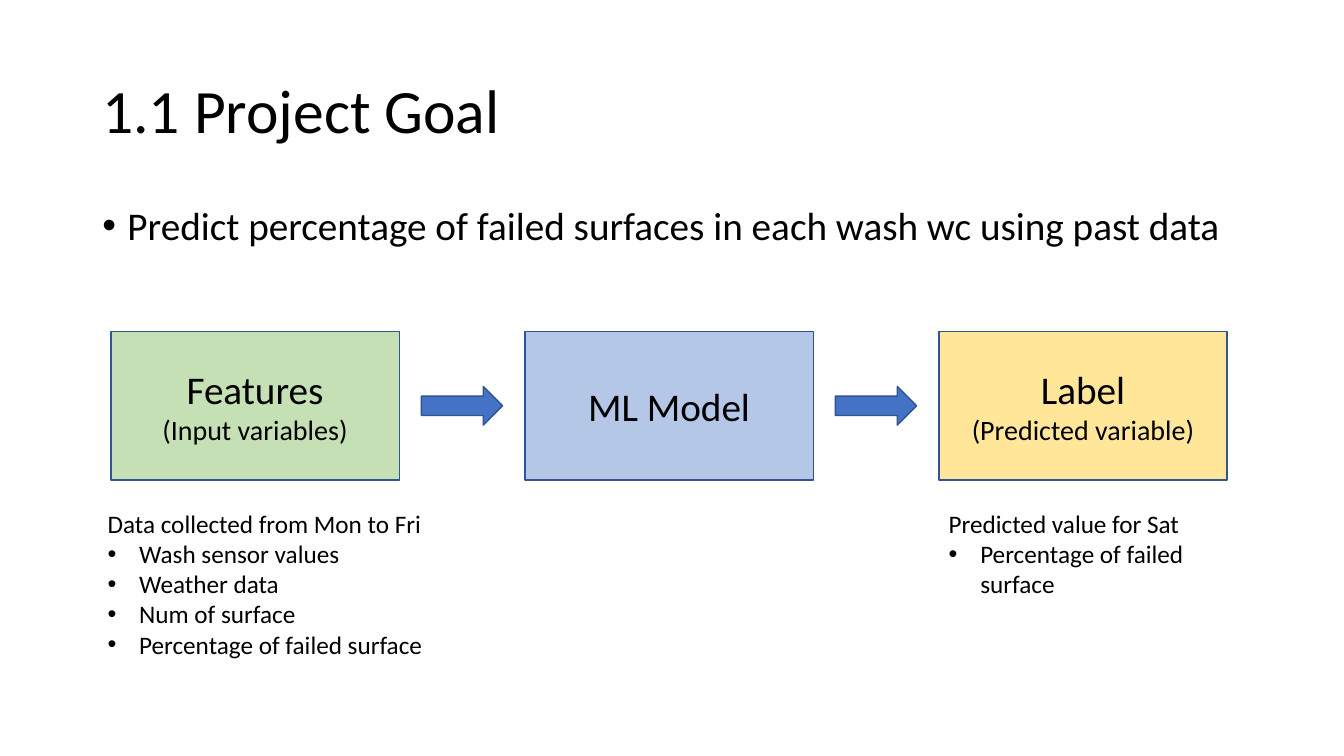
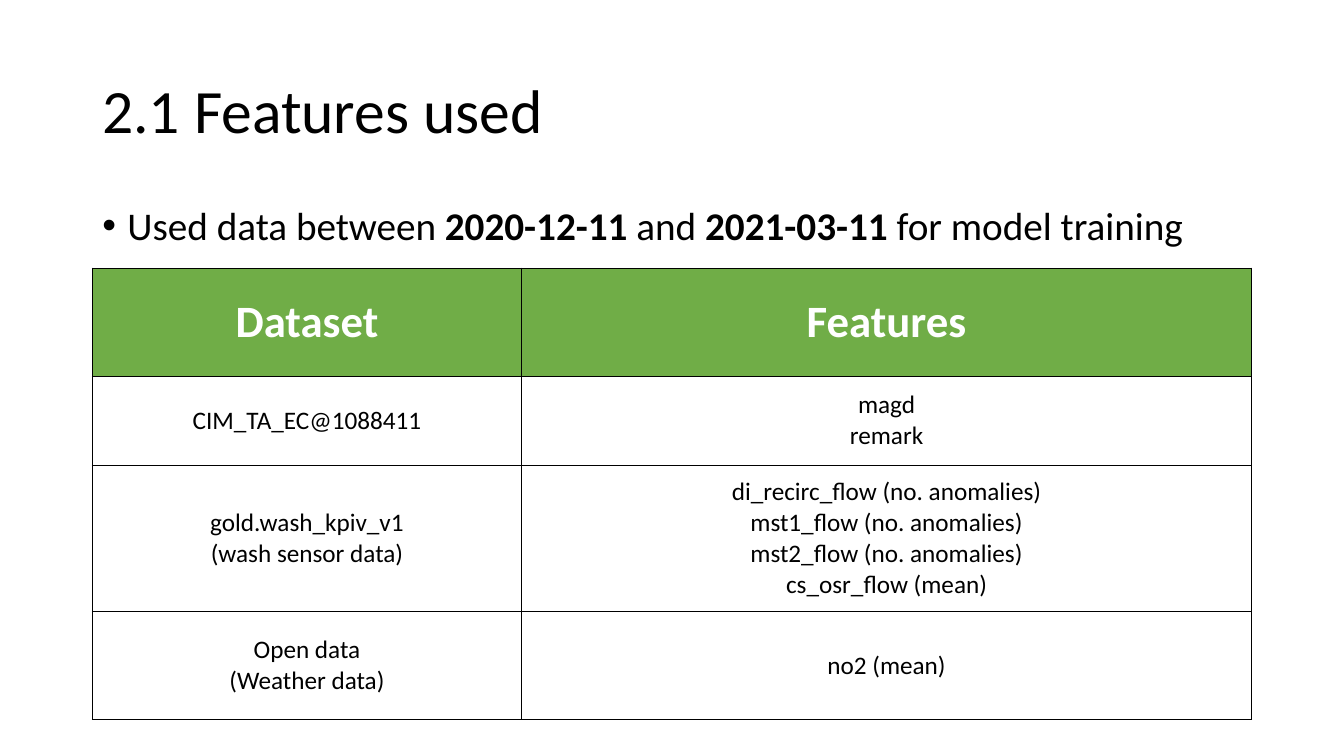
from dataclasses import dataclass

from lxml import etree
from pptx import Presentation
from pptx.dml.color import RGBColor
from pptx.enum import shapes, text
from pptx.oxml import ns
from pptx.util import Pt

FONT = "Calibri"
COLOURS = {
    "text": "000000",
    "white": "FFFFFF",
    "outline": "325491",
    "arrow": "4472C4",
    "features": "C5E0B4",
    "model": "B4C7E7",
    "label": "FFE699",
    "header": "70AD47",
}
MARGIN, CONTENT_WIDTH = 66, 828
BOX_LEFT, BOX_TOP, BOX_WIDTH, BOX_HEIGHT, BOX_STEP = 79.2, 236.9, 206, 106, 295.7
ARROW_WIDTH, ARROW_HEIGHT = 58, 27.6
NOTE_TOP, NOTE_SIZE, NOTE_INDENT = 359.3, 18, 22.5
FLOW = [
    ("features", [("Features", 28), ("(Input variables)", 20)]),
    ("model", [("ML Model", 28)]),
    ("label", [("Label", 28), ("(Predicted variable)", 20)]),
]
DATASETS = [
    (["Dataset"], ["Features"]),
    (["CIM_TA_EC@1088411"], ["magd", "remark"]),
    (
        ["gold.wash_kpiv_v1", "(wash sensor data)"],
        [
            "di_recirc_flow (no. anomalies)",
            "mst1_flow (no. anomalies)",
            "mst2_flow (no. anomalies)",
            "cs_osr_flow (mean)",
        ],
    ),
    (["Open data", "(Weather data)"], ["no2 (mean)"]),
]
COLUMN_WIDTHS = (306.6, 521.4)
ROW_HEIGHTS = (77.2, 63.6, 104.6, 77.2)


@dataclass
class Line:
    """One paragraph: its (text, bold) runs and how they look."""

    runs: list
    size: float
    colour: str = "text"
    centred: bool = False
    indent: float = 0
    spacing: float = 1
    before: float = 0


def rgb(name):
    """Return a named colour."""
    return RGBColor.from_string(COLOURS[name])


def add_bullet(paragraph, indent):
    """Give a paragraph a round bullet with a hanging indent."""
    properties = paragraph._p.get_or_add_pPr()
    properties.set("marL", str(Pt(indent)))
    properties.set("indent", str(-Pt(indent)))
    etree.SubElement(properties, ns.qn("a:buFont"), typeface="Arial")
    etree.SubElement(properties, ns.qn("a:buChar"), char="•")


def write_lines(frame, lines):
    """Fill a text frame, one paragraph for each line."""
    for index, line in enumerate(lines):
        paragraph = frame.add_paragraph() if index else frame.paragraphs[0]
        paragraph.alignment = text.PP_ALIGN.CENTER if line.centred else text.PP_ALIGN.LEFT
        paragraph.line_spacing = line.spacing
        paragraph.space_before = Pt(line.before)
        if line.indent:
            add_bullet(paragraph, line.indent)
        for words, bold in line.runs:
            run = paragraph.add_run()
            run.text = words
            run.font.name = FONT
            run.font.size = Pt(line.size)
            run.font.bold = bold
            run.font.color.rgb = rgb(line.colour)


def add_text(slide, left, top, width, height, lines, anchor=text.MSO_ANCHOR.TOP):
    """Add a wrapping text box."""
    box = slide.shapes.add_textbox(Pt(left), Pt(top), Pt(width), Pt(height))
    box.text_frame.word_wrap = True
    box.text_frame.vertical_anchor = anchor
    write_lines(box.text_frame, lines)


def add_content_slide(presentation, title, statement):
    """Add a slide with the shared title and bulleted statement."""
    slide = presentation.slides.add_slide(presentation.slide_layouts[6])
    heading = Line([(title, False)], 44, spacing=0.9)
    add_text(slide, MARGIN, 28.8, CONTENT_WIDTH, 104.4, [heading], text.MSO_ANCHOR.MIDDLE)
    bullet = Line(statement, 28, indent=18, spacing=0.9, before=10)
    add_text(slide, MARGIN, 143.8, CONTENT_WIDTH, 46, [bullet])
    return slide


def add_block(slide, kind, left, top, width, height, colour, lines=()):
    """Add an outlined preset shape with centred text."""
    shape = slide.shapes.add_shape(kind, Pt(left), Pt(top), Pt(width), Pt(height))
    shape.shadow.inherit = False
    shape.fill.solid()
    shape.fill.fore_color.rgb = rgb(colour)
    shape.line.color.rgb = rgb("outline")
    shape.line.width = Pt(1)
    shape.text_frame.word_wrap = True
    shape.text_frame.vertical_anchor = text.MSO_ANCHOR.MIDDLE
    write_lines(shape.text_frame, lines)


def add_flow(slide):
    """Add the row of boxes with an arrow centred in each gap."""
    for index, (colour, labels) in enumerate(FLOW):
        left = BOX_LEFT + index * BOX_STEP
        lines = [Line([(words, False)], size, centred=True) for words, size in labels]
        add_block(slide, shapes.MSO_SHAPE.RECTANGLE, left, BOX_TOP,
                  BOX_WIDTH, BOX_HEIGHT, colour, lines)
        if index:
            arrow_left = left - (BOX_STEP - BOX_WIDTH + ARROW_WIDTH) / 2
            arrow_top = BOX_TOP + (BOX_HEIGHT - ARROW_HEIGHT) / 2
            add_block(slide, shapes.MSO_SHAPE.RIGHT_ARROW, arrow_left, arrow_top,
                      ARROW_WIDTH, ARROW_HEIGHT, "arrow")


def add_note(slide, left, width, height, heading, items):
    """Add a heading with a bulleted list under a flow box."""
    lines = [Line([(heading, False)], NOTE_SIZE)]
    lines += [Line([(item, False)], NOTE_SIZE, indent=NOTE_INDENT) for item in items]
    add_text(slide, left, NOTE_TOP, width, height, lines)


def add_borders(cell):
    """Draw a thin line on all four sides of a cell."""
    properties = cell._tc.get_or_add_tcPr()
    for index, side in enumerate(("lnL", "lnR", "lnT", "lnB")):
        border = etree.Element(ns.qn(f"a:{side}"), w=str(Pt(1)))
        fill = etree.SubElement(border, ns.qn("a:solidFill"))
        etree.SubElement(fill, ns.qn("a:srgbClr"), val=COLOURS["text"])
        properties.insert(index, border)


def add_dataset_table(slide):
    """Add the table of datasets and their features."""
    frame = slide.shapes.add_table(
        len(DATASETS), len(COLUMN_WIDTHS), Pt(MARGIN), Pt(191.5),
        Pt(CONTENT_WIDTH), Pt(sum(ROW_HEIGHTS)))
    table = frame.table
    table.horz_banding = False
    for column, width in zip(table.columns, COLUMN_WIDTHS):
        column.width = Pt(width)
    for row, height in zip(table.rows, ROW_HEIGHTS):
        row.height = Pt(height)
    for row_index, row in enumerate(DATASETS):
        header = row_index == 0
        size, colour = (32, "white") if header else (18, "text")
        for column_index, entries in enumerate(row):
            cell = table.cell(row_index, column_index)
            cell.vertical_anchor = text.MSO_ANCHOR.MIDDLE
            cell.fill.solid()
            cell.fill.fore_color.rgb = rgb("header" if header else "white")
            add_borders(cell)
            write_lines(cell.text_frame, [
                Line([(entry, header)], size, colour, centred=True) for entry in entries])


def main():
    """Build and save the presentation."""
    presentation = Presentation()
    presentation.slide_width, presentation.slide_height = Pt(960), Pt(540)

    goal = add_content_slide(presentation, "1.1 Project Goal", [
        ("Predict percentage of failed surfaces in each wash wc using past data", False)])
    add_flow(goal)
    add_note(goal, 69.8, 241.2, 116.6, "Data collected from Mon to Fri", [
        "Wash sensor values", "Weather data", "Num of surface",
        "Percentage of failed surface"])
    add_note(goal, 670.6, 219.6, 72.7, "Predicted value for Sat",
             ["Percentage of failed surface"])

    features = add_content_slide(presentation, "2.1 Features used", [
        ("Used data between ", False), ("2020-12-11", True), (" and ", False),
        ("2021-03-11", True), (" for model training", False)])
    add_dataset_table(features)

    presentation.save("out.pptx")


main()
